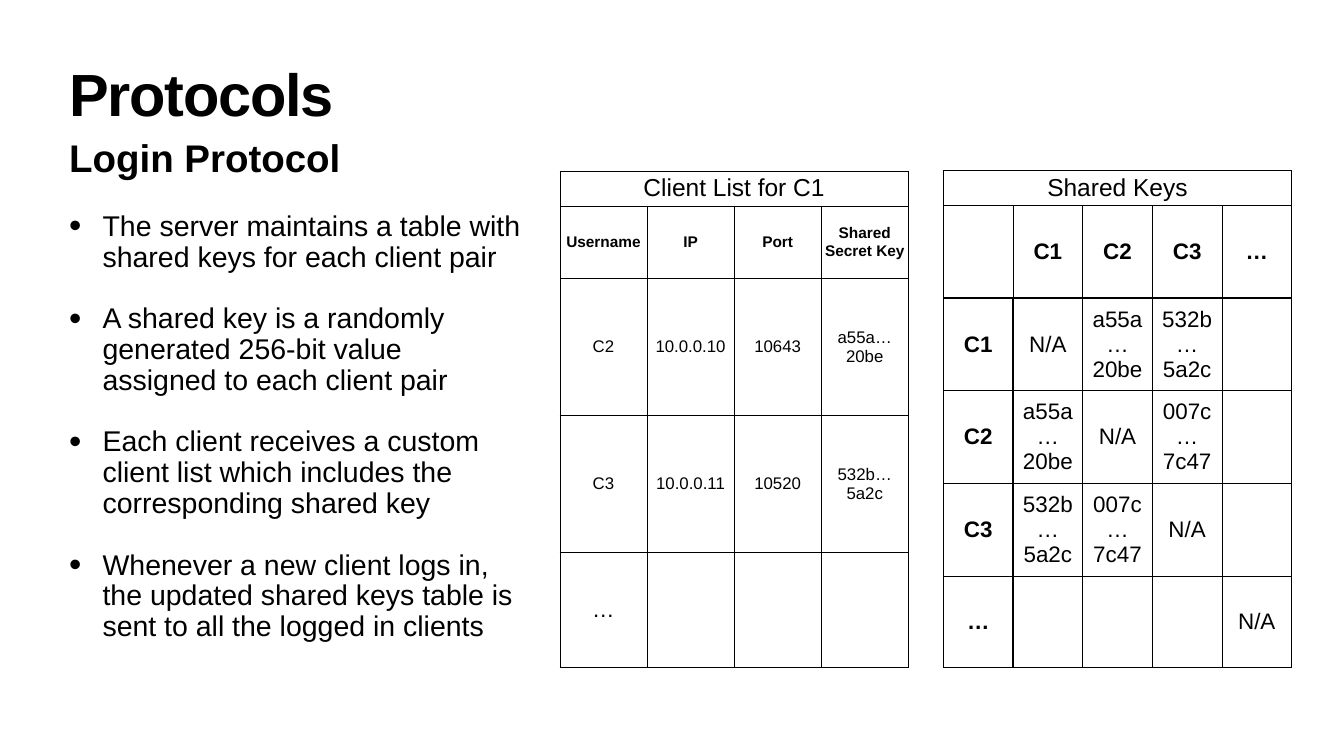
"""Build the login protocol slide with its client list and shared key tables."""
from dataclasses import dataclass

import lxml.etree
import pptx
import pptx.dml.color
import pptx.enum.text
import pptx.oxml.ns
import pptx.util

Cm = pptx.util.Cm
Pt = pptx.util.Pt
ANCHOR = pptx.enum.text.MSO_ANCHOR
ALIGN = pptx.enum.text.PP_ALIGN
INK = "000000"
MARGINS = ("margin_left", "margin_top", "margin_right", "margin_bottom")


@dataclass
class TextBlock:
    top: float
    width: float
    height: float
    lines: list[str]
    size: float
    bold: bool = False
    anchor: ANCHOR = ANCHOR.TOP
    line_spacing: float = 1.0
    space_before: float = 0
    tracking: float = 0
    bulleted: bool = False


@dataclass
class Grid:
    left: float
    top: float
    column: float
    rows: list[float]
    title: str
    body: list[list[str]]
    header_size: float
    body_size: float
    more_size: float
    keyed: bool = False


def colour(value: str) -> pptx.dml.color.RGBColor:
    """Turn a hex string into a colour."""
    return pptx.dml.color.RGBColor.from_string(value)


def apply(target, values: dict) -> None:
    """Set each format value on the target."""
    for name, value in values.items():
        setattr(target, name, value)


def add_child(parent, tag: str, **attributes: str):
    """Append a drawing element with its attributes."""
    child = lxml.etree.SubElement(parent, pptx.oxml.ns.qn(tag))
    for name, value in attributes.items():
        child.set(name, value)
    return child


def write(paragraph, text: str, size: float, bold: bool):
    """Add a styled run to a paragraph."""
    run = paragraph.add_run()
    run.text = text
    apply(run.font, {"name": "Arial", "size": Pt(size), "bold": bold})
    run.font.color.rgb = colour(INK)
    return run


def draw_text(slide, block: TextBlock) -> None:
    """Draw one text block at the left margin."""
    box = slide.shapes.add_textbox(Cm(3.35), Cm(block.top), Cm(block.width), Cm(block.height))
    frame = box.text_frame
    apply(frame, {"word_wrap": True, "vertical_anchor": block.anchor}
          | dict.fromkeys(MARGINS, Cm(0.14)))
    for index, line in enumerate(block.lines):
        paragraph = frame.add_paragraph() if index else frame.paragraphs[0]
        apply(paragraph, {"line_spacing": block.line_spacing,
                          "space_before": Pt(block.space_before)})
        run = write(paragraph, line, block.size, block.bold)
        if block.tracking:
            run._r.get_or_add_rPr().set("spc", str(round(block.tracking * 100)))
        if block.bulleted:
            properties = paragraph._p.get_or_add_pPr()
            properties.set("marL", str(Cm(1.68)))
            properties.set("indent", str(-Cm(1.68)))
            add_child(properties, "a:buSzPct", val="123000")
            add_child(properties, "a:buFont", typeface="Arial")
            add_child(properties, "a:buChar", char="•")


def draw_borders(cell, widths: dict[str, float]) -> None:
    """Outline a cell with one width per side."""
    properties = cell._tc.get_or_add_tcPr()
    for position, (side, width) in enumerate(widths.items()):
        line = lxml.etree.Element(pptx.oxml.ns.qn(f"a:ln{side}"), w=str(Pt(width)))
        add_child(add_child(line, "a:solidFill"), "a:srgbClr", val=INK)
        properties.insert(position, line)


def border_widths(grid: Grid, row: int, column: int) -> dict[str, float]:
    """Give thick rules next to the headers of a keyed grid."""
    return {
        "L": 1,
        "R": 3 if grid.keyed and row > 1 and column == 0 else 1,
        "T": 3 if grid.keyed and row == 2 else 1,
        "B": 3 if grid.keyed and row == 1 else 1,
    }


def draw_grid(slide, grid: Grid) -> None:
    """Draw a titled table."""
    count = len(grid.body[0])
    frame = slide.shapes.add_table(len(grid.rows), count, Cm(grid.left), Cm(grid.top),
                                   Cm(grid.column * count), Cm(sum(grid.rows)))
    table = frame.table
    apply(table, {"first_row": False, "horz_banding": False})
    for column in table.columns:
        column.width = Cm(grid.column)
    for row, height in zip(table.rows, grid.rows):
        row.height = Cm(height)
    table.cell(0, 0).merge(table.cell(0, count - 1))
    contents = [[grid.title] + [""] * (count - 1)] + grid.body
    for r, texts in enumerate(contents):
        for c, text in enumerate(texts):
            cell = table.cell(r, c)
            apply(cell, {"vertical_anchor": ANCHOR.MIDDLE} | dict.fromkeys(MARGINS, Cm(0.14)))
            cell.fill.background()
            draw_borders(cell, border_widths(grid, r, c))
            if text:
                size = 35 if r == 0 else grid.header_size if r == 1 else grid.body_size
                paragraph = cell.text_frame.paragraphs[0]
                paragraph.alignment = ALIGN.CENTER
                bold = r == 1 or (grid.keyed and r > 1 and c == 0)
                write(paragraph, text, grid.more_size if text == "…" else size, bold)


TEXTS = [
    TextBlock(3, 61.04, 3.99, ["Protocols"], 85, True, ANCHOR.MIDDLE, 0.8, tracking=-1.7),
    TextBlock(6.6, 61.04, 2.59, ["Login Protocol"], 55, True),
    TextBlock(10.54, 23.14, 24.21, [
        "The server maintains a table with shared keys for each client pair",
        "A shared key is a randomly generated 256-bit value assigned to each client pair",
        "Each client receives a custom client list which includes the corresponding shared key",
        "Whenever a new client logs in, the updated shared keys table is sent to all the "
        "logged in clients",
    ], 40.7, line_spacing=0.9, space_before=44, bulleted=True),
]

KEY_12, KEY_13, KEY_23 = "a55a…20be", "532b…5a2c", "007c…7c47"

GRIDS = [
    Grid(47.55, 8.59, 3.51, [1.7] + [4.67] * 4 + [4.62], "Shared Keys", [
        ["", "C1", "C2", "C3", "…"],
        ["C1", "N/A", KEY_12, KEY_13, ""],
        ["C2", KEY_12, "N/A", KEY_23, ""],
        ["C3", KEY_13, KEY_23, "N/A", ""],
        ["…", "", "", "", "N/A"],
    ], 32, 32, 32, keyed=True),
    Grid(28.22, 8.61, 4.39, [1.7, 3.66, 6.91, 6.88, 5.82], "Client List for C1", [
        ["Username", "IP", "Port", "Shared Secret Key"],
        ["C2", "10.0.0.10", "10643", KEY_12],
        ["C3", "10.0.0.11", "10520", KEY_13],
        ["…", "", "", ""],
    ], 22, 24, 32),
]


def main() -> None:
    """Build and save the slide."""
    deck = pptx.Presentation()
    apply(deck, {"slide_width": Cm(67.74), "slide_height": Cm(38.1)})
    slide = deck.slides.add_slide(deck.slide_layouts[6])
    for block in TEXTS:
        draw_text(slide, block)
    for grid in GRIDS:
        draw_grid(slide, grid)
    deck.save("out.pptx")


if __name__ == "__main__":
    main()
